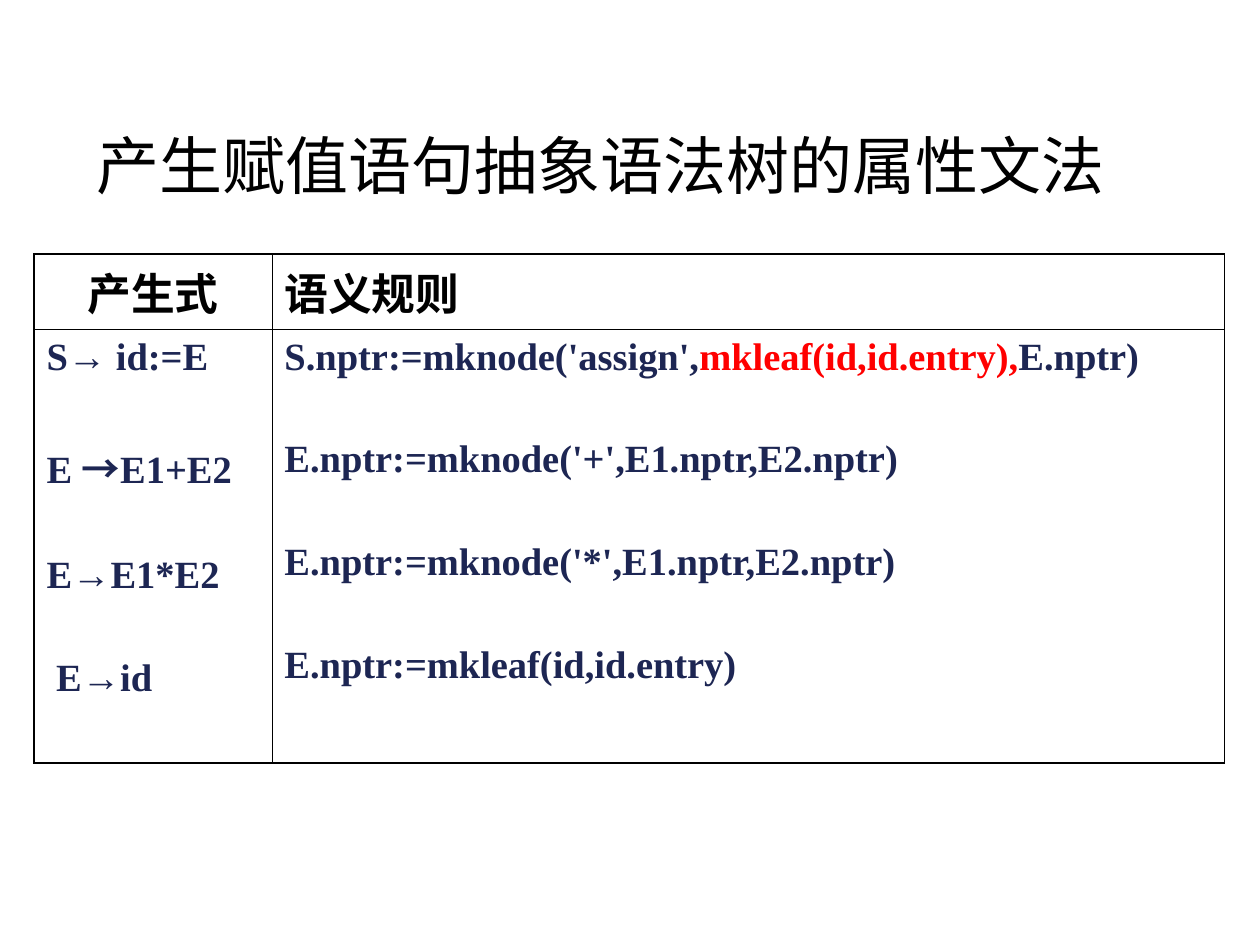
from lxml.etree import SubElement
from pptx import Presentation
from pptx.dml.color import RGBColor
from pptx.enum.text import MSO_ANCHOR as Anchor, PP_ALIGN as Align
from pptx.oxml.ns import qn
from pptx.util import Pt

BLACK = RGBColor(0x00, 0x00, 0x00)
NAVY = RGBColor(0x1D, 0x26, 0x53)
RED = RGBColor(0xFF, 0x00, 0x00)
SERIF, SANS, CJK = "Times New Roman", "Arial", "Noto Sans CJK SC"

OUTER, INNER = Pt(1.08), Pt(0.45)
RULE_GAP = Pt(34.3)

HEADERS = [("产生式", Align.CENTER), ("语义规则", Align.LEFT)]
# Each line is a list of (text, colour, font) spans
PRODUCTIONS = [
    [("S→ id:=E", NAVY, SERIF)],
    [("E ", NAVY, SERIF), ("→", NAVY, CJK), ("E1+E2", NAVY, SERIF)],
    [("E→E1*E2", NAVY, SERIF)],
    [(" E→id", NAVY, SERIF)],
]
SEMANTIC_RULES = [
    [("S.nptr:=mknode('assign',", NAVY, SERIF),
     ("mkleaf(id,id.entry),", RED, SERIF),
     ("E.nptr)", NAVY, SERIF)],
    [("E.nptr:=mknode('+',E1.nptr,E2.nptr)", NAVY, SERIF)],
    [("E.nptr:=mknode('*',E1.nptr,E2.nptr)", NAVY, SERIF)],
    [("E.nptr:=mkleaf(id,id.entry)", NAVY, SERIF)],
]


def style_font(font, size, name, color, bold=False):
    font.size, font.name, font.bold = Pt(size), name, bold
    font.color.rgb = color


def add_title(page, text):
    box = page.shapes.add_textbox(Pt(19.4), Pt(49), Pt(648), Pt(90))
    frame = box.text_frame
    frame.word_wrap = True
    frame.vertical_anchor = Anchor.MIDDLE
    para = frame.paragraphs[0]
    para.text = text
    para.alignment = Align.CENTER
    style_font(para.font, 36, SERIF, BLACK)


def set_borders(cell, widths):
    """Draw the cell's left, right, top and bottom lines."""
    props = cell._tc.get_or_add_tcPr()
    for index, (side, width) in enumerate(widths.items()):
        line = props.makeelement(qn(f"a:ln{side}"), {"w": str(width)})
        fill = SubElement(line, qn("a:solidFill"))
        SubElement(fill, qn("a:srgbClr"), val=str(BLACK))
        props.insert(index, line)


def write_header(cell, text, alignment):
    para = cell.text_frame.paragraphs[0]
    para.text = text
    para.alignment = alignment
    style_font(para.font, 25, SANS, BLACK, bold=True)


def write_lines(cell, lines):
    frame = cell.text_frame
    for index, spans in enumerate(lines):
        para = frame.add_paragraph() if index else frame.paragraphs[0]
        if index:
            para.space_before = RULE_GAP
        for text, color, name in spans:
            span = para.add_run()
            span.text = text
            style_font(span.font, 22, name, color, bold=True)
            if name == CJK:
                SubElement(span.font._element, qn("a:ea"), typeface=CJK)


def add_grammar_table(page):
    table = page.shapes.add_table(
        2, 2, Pt(19.4), Pt(145.2), Pt(680.4), Pt(288.7)).table
    table.first_row = table.horz_banding = False
    for column, width in zip(table.columns, (136, 544.4)):
        column.width = Pt(width)
    for row, height in zip(table.rows, (43.2, 247.5)):
        row.height = Pt(height)

    # Contents
    for index, (text, alignment) in enumerate(HEADERS):
        write_header(table.cell(0, index), text, alignment)
    for index, lines in enumerate((PRODUCTIONS, SEMANTIC_RULES)):
        write_lines(table.cell(1, index), lines)

    # Heavier frame, thin inner lines
    for row in range(2):
        for column in range(2):
            cell = table.cell(row, column)
            cell.fill.background()
            set_borders(cell, {
                "L": INNER if column else OUTER,
                "R": OUTER if column else INNER,
                "T": INNER if row else OUTER,
                "B": OUTER if row else INNER,
            })


def main():
    deck = Presentation()
    deck.slide_width, deck.slide_height = Pt(720), Pt(540)
    page = deck.slides.add_slide(deck.slide_layouts[6])
    add_title(page, "产生赋值语句抽象语法树的属性文法")
    add_grammar_table(page)
    deck.save("out.pptx")


if __name__ == "__main__":
    main()
